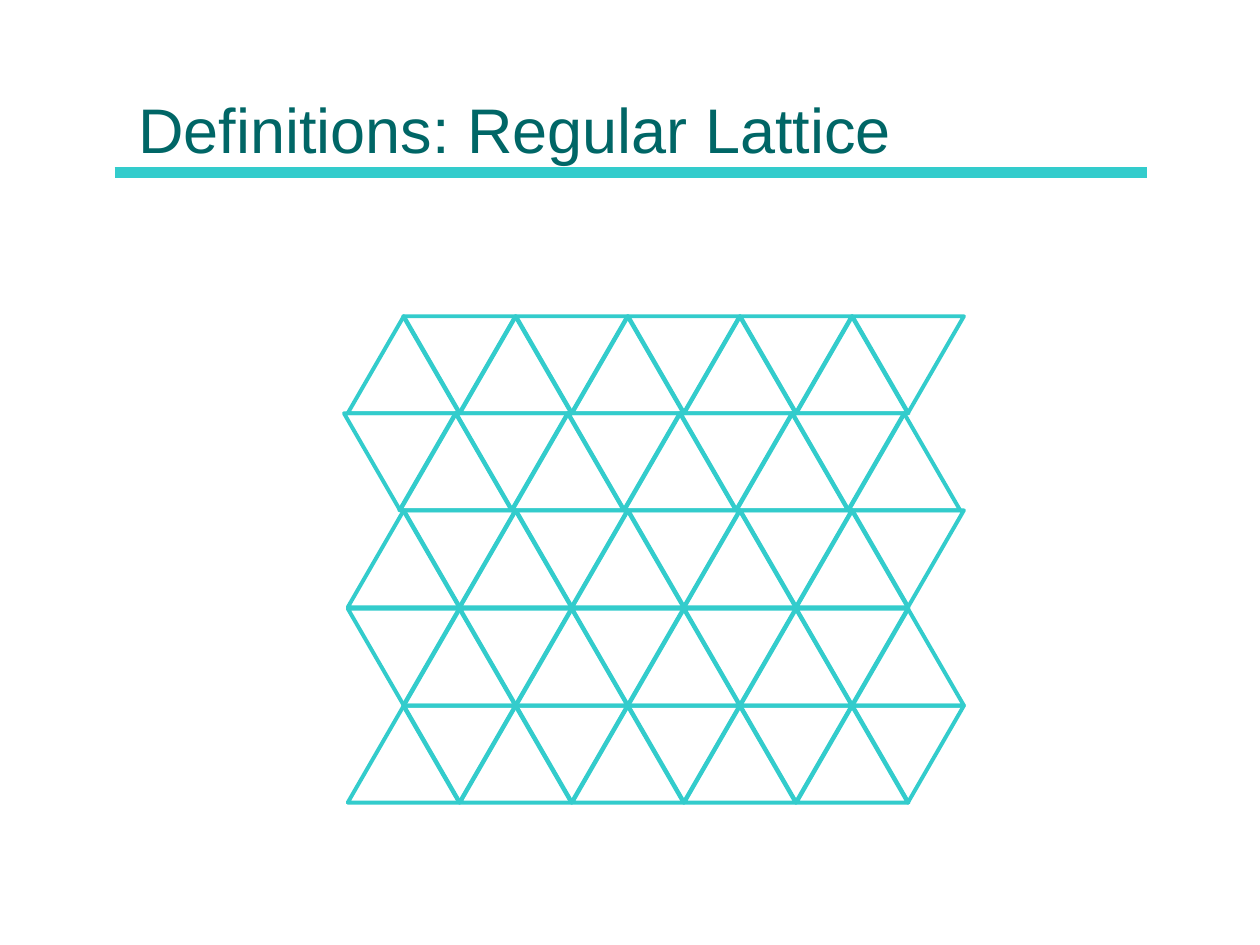
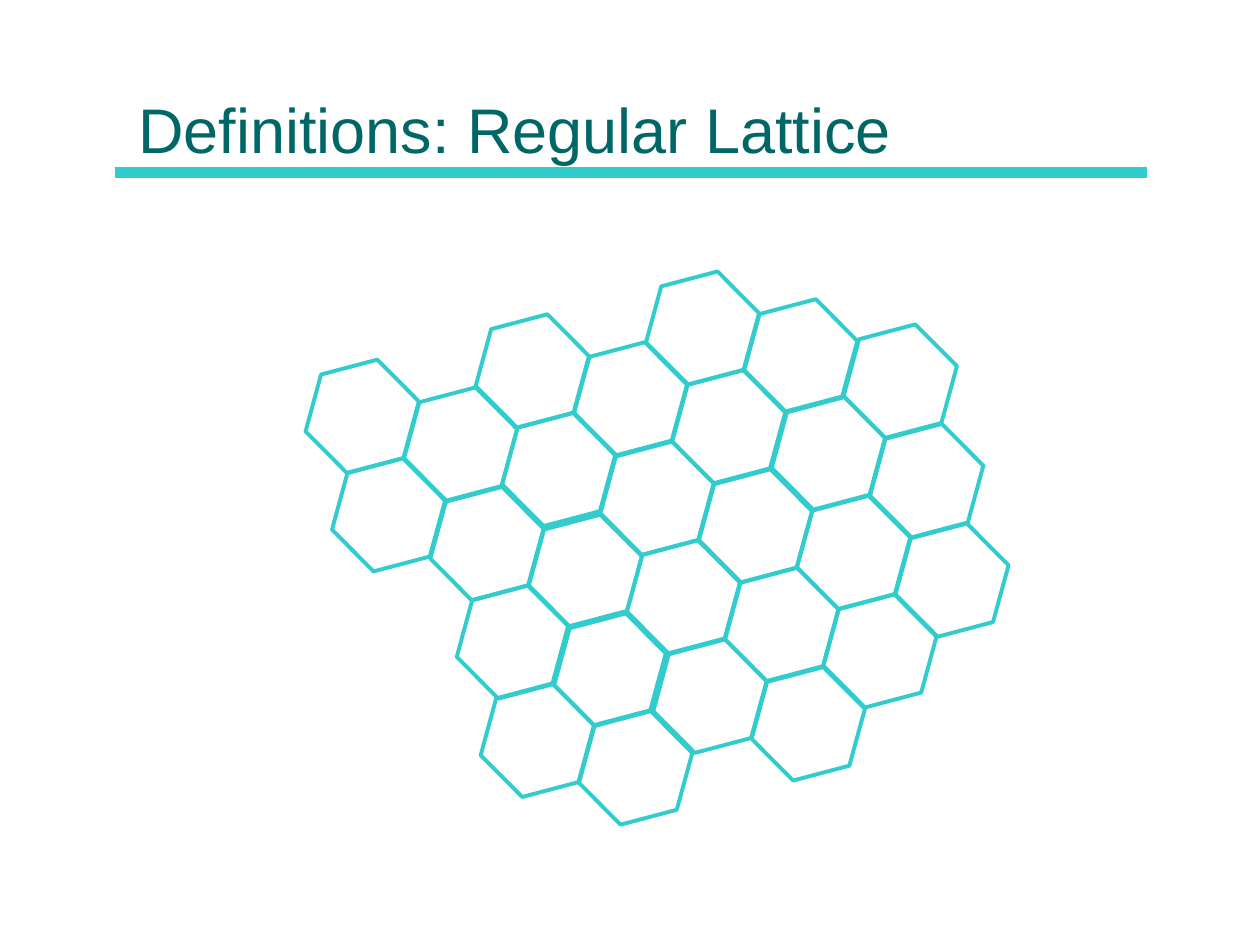
"""Builds two slides that show regular lattices of triangles and hexagons."""
from dataclasses import dataclass

from lxml import etree
from pptx import Presentation
from pptx import util as u
from pptx.dml.color import RGBColor
from pptx.enum import shapes, text
from pptx.oxml.ns import qn


@dataclass(frozen=True)
class Theme:
    """Colours, type and line weights shared by the slides."""
    title_color: RGBColor = RGBColor.from_string("006666")
    accent: RGBColor = RGBColor.from_string("33CCCC")
    font: str = "Arial"
    title_size: int = 36
    rule_weight: int = 6
    cell_weight: float = 2.25


class Deck:
    """Holds the theme and the current slide, and draws on it."""
    PX = 9144

    def __init__(self, theme):
        """Start an empty presentation of 1000 by 750 px."""
        self.theme = theme
        self.deck = Presentation()
        self.deck.slide_width, self.deck.slide_height = self.emu(1000, 750)
        self.page = None
        self.lattice = None

    def emu(self, *lengths):
        """Turn px lengths into EMU."""
        return [u.Emu(length * self.PX) for length in lengths]

    def new_page(self, title):
        """Add a slide with its title, rule and empty lattice group."""
        self.page = self.deck.slides.add_slide(self.deck.slide_layouts[6])
        self.rule(91, 137, 910, 137)
        self.title(title)
        self.lattice = self.page.shapes.add_group_shape()

    def rule(self, *ends):
        """Draw the heavy line under the title."""
        line = self.page.shapes.add_connector(
            shapes.MSO_CONNECTOR.STRAIGHT, *self.emu(*ends))
        line.line.color.rgb = self.theme.accent
        line.line.width = u.Pt(self.theme.rule_weight)
        etree.SubElement(line._element.spPr, qn("a:effectLst"))

    def title(self, words):
        """Write the slide title, resting on the rule."""
        box = self.page.shapes.add_textbox(*self.emu(100, 12, 800, 125))
        frame = box.text_frame
        frame.word_wrap = True
        frame.vertical_anchor = text.MSO_ANCHOR.BOTTOM
        span = frame.paragraphs[0].add_run()
        span.text = words
        span.font.name = self.theme.font
        span.font.size = u.Pt(self.theme.title_size)
        span.font.color.rgb = self.theme.title_color

    def cell(self, kind, left, top, width, height, rotation=0):
        """Add one outlined cell to the lattice and return it."""
        cell = self.lattice.shapes.add_shape(
            kind, *self.emu(left, top, width, height))
        cell.shadow.inherit = False
        cell.fill.background()
        cell.line.color.rgb = self.theme.accent
        cell.line.width = u.Pt(self.theme.cell_weight)
        cell.rotation = rotation
        return cell

    def triangle(self, left, top, points_down):
        """Add a triangle that points up or down."""
        self.cell(shapes.MSO_SHAPE.ISOSCELES_TRIANGLE, left, top, 89, 77,
                  180 if points_down else 0)

    def hexagon(self, left, top):
        """Add a tilted regular hexagon."""
        cell = self.cell(shapes.MSO_SHAPE.HEXAGON, left, top, 93, 81, 345.2)
        cell.adjustments[0] = 0.289


TITLE = "Definitions: Regular Lattice"
ROW_LEFTS = (276, 273, 276, 276, 276)
TRIANGLES_PER_ROW = 10
HALF_BASE, ROW_PITCH = 44.45, 77.2

RIGHT, DOWN, UP = (78, 22), (21, 78), (57, -57)
RIGHT_DOWN_TRIADS = ((475, 355), (511, 220), (631, 398),
                     (340, 391), (376, 254), (241, 290))
RIGHT_UP_TRIADS = ((611, 319), (517, 512), (380, 547))


def triangle_lattice(deck):
    """Fill rows of triangles that alternate between up and down."""
    deck.new_page(TITLE)
    for row, row_left in enumerate(ROW_LEFTS):
        top = 251 + round(row * ROW_PITCH)
        for column in range(TRIANGLES_PER_ROW):
            left = row_left + round(column * HALF_BASE)
            deck.triangle(left, top, (row + column) % 2 == 1)


def hexagon_lattice(deck):
    """Join triads of neighbouring hexagons into a honeycomb."""
    deck.new_page(TITLE)
    for triads, turn in ((RIGHT_DOWN_TRIADS, DOWN), (RIGHT_UP_TRIADS, UP)):
        for left, top in triads:
            for across, below in ((0, 0), turn, RIGHT):
                deck.hexagon(left + across, top + below)


def main():
    """Build both slides and save them."""
    deck = Deck(Theme())
    triangle_lattice(deck)
    hexagon_lattice(deck)
    deck.deck.save("out.pptx")


if __name__ == "__main__":
    main()
